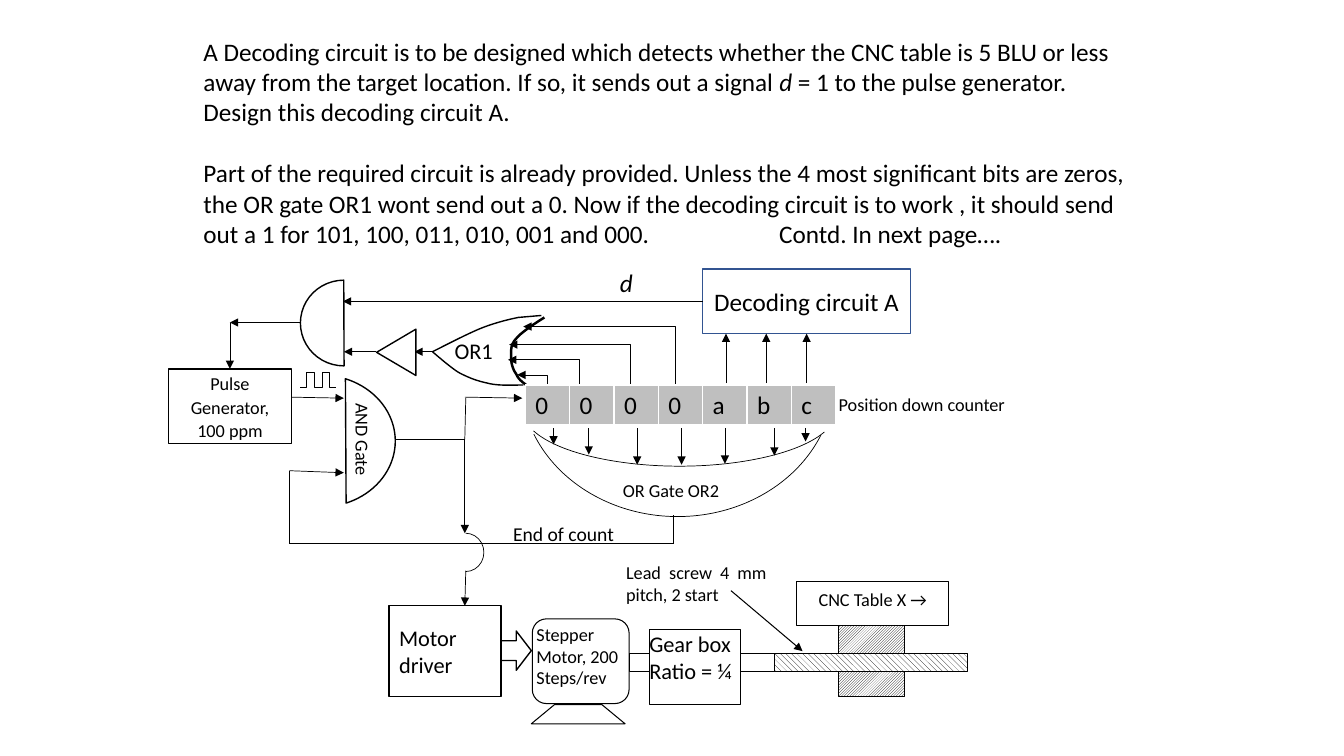
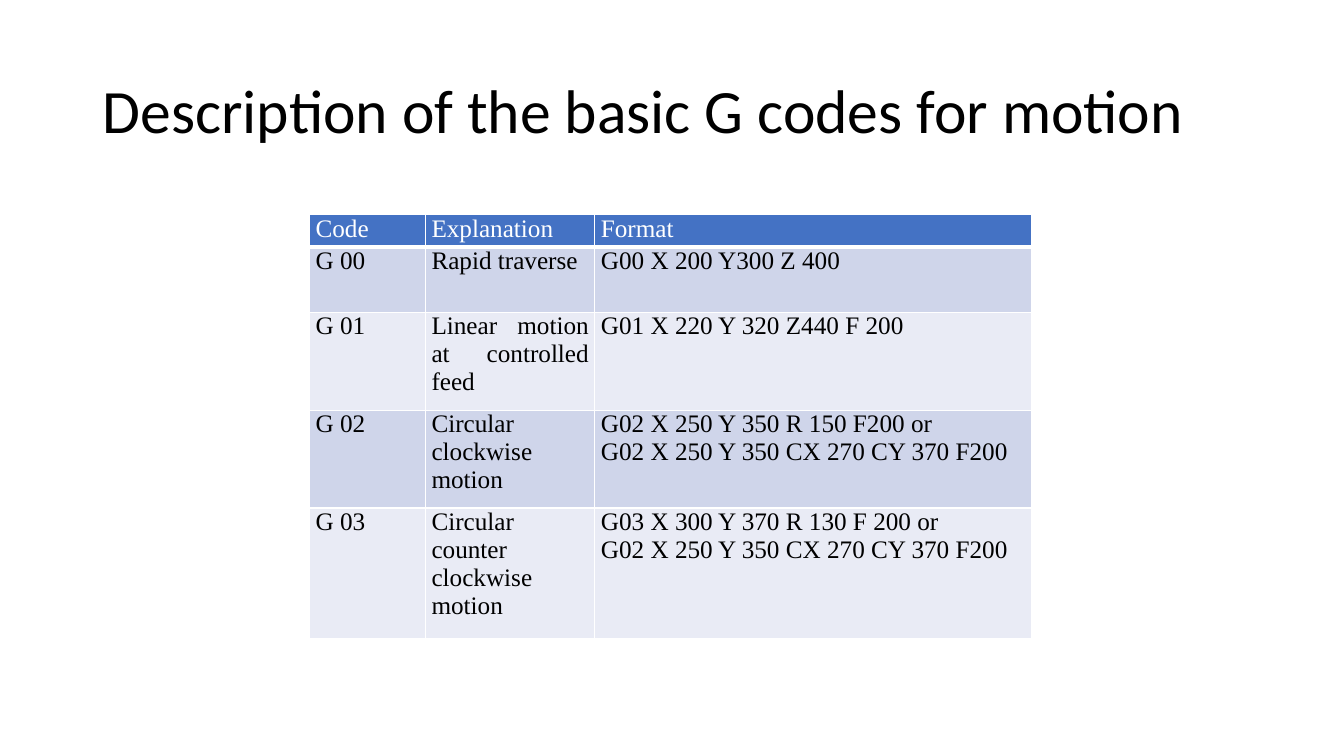
"""Build two slides: a pulse decoding circuit and a table of motion G codes."""
from dataclasses import dataclass

from lxml import etree
from pptx import Presentation
from pptx import util as u
from pptx.dml import color
from pptx.enum import dml, shapes, text
from pptx.oxml import ns

PX = 9144
KIND = shapes.MSO_SHAPE
ALIGN = text.PP_ALIGN
MIDDLE = text.MSO_ANCHOR.MIDDLE


@dataclass(frozen=True)
class Theme:
    """Hold the colours, fonts, type sizes and line widths of the deck."""
    ink: str = "000000"
    paper: str = "FFFFFF"
    frame: str = "325491"
    counter: str = "BFBFBF"
    header: str = "4472C4"
    bands: tuple = ("CFD5EA", "E9EBF5")
    sans: str = "Calibri"
    serif: str = "Times New Roman"
    title: int = 44
    body: int = 18
    block: int = 16
    note: int = 14
    label: int = 13
    wire: float = 0.5
    outline: float = 0.75
    gate: float = 1
    heavy: float = 1.75
    loose: float = 1.07


THEME = Theme()


def px(length):
    """Turn px into EMU."""
    return u.Emu(round(length * PX))


def rgb(value):
    """Turn a hex string into a colour."""
    return color.RGBColor.from_string(value)


def add_xml(parent, tag, **attributes):
    """Append a DrawingML element."""
    return etree.SubElement(parent, ns.qn(tag), attributes)


def write(frame, paras, size=THEME.label, align=ALIGN.LEFT, leading=1.0,
          font=THEME.sans, ink=THEME.ink, gap=0):
    """Fill a text frame with paragraphs of (text, italic) spans."""
    for index, spans in enumerate(paras):
        para = frame.add_paragraph() if index else frame.paragraphs[0]
        para.alignment = align
        para.line_spacing = leading
        para.space_before = u.Pt(0)
        para.space_after = u.Pt(gap if index < len(paras) - 1 else 0)
        for words, italic in spans:
            span = para.add_run()
            span.text = words
            span.font.name = font
            span.font.size = u.Pt(size)
            span.font.bold = False
            span.font.italic = italic
            span.font.color.rgb = rgb(ink)


def plain(*lines):
    """Make upright paragraphs from strings."""
    return [[(line, False)] for line in lines]


def set_frame(frame, anchor=text.MSO_ANCHOR.TOP, inset=None):
    """Set wrapping, anchor and margins of a text frame."""
    frame.word_wrap = True
    frame.auto_size = text.MSO_AUTO_SIZE.NONE
    frame.vertical_anchor = anchor
    if inset is not None:
        frame.margin_left = frame.margin_right = px(inset)
        frame.margin_top = frame.margin_bottom = px(inset)


def paint(shape, fill, line, width):
    """Set the fill and outline of a shape and drop its shadow."""
    shape.shadow.inherit = False
    if fill:
        shape.fill.solid()
        shape.fill.fore_color.rgb = rgb(fill)
    else:
        shape.fill.background()
    if line:
        shape.line.color.rgb = rgb(line)
        shape.line.width = u.Pt(width)
    else:
        shape.line.fill.background()


def add_box(page, kind, area, paras=(), fill=THEME.paper, line=THEME.ink,
            width=THEME.outline, anchor=text.MSO_ANCHOR.TOP, inset=None,
            turn=0, adjust=(), **style):
    """Add a preset shape, with text if any is given."""
    box = page.shapes.add_shape(kind, *map(px, area))
    paint(box, fill, line, width)
    box.rotation = turn
    for index, value in enumerate(adjust):
        box.adjustments[index] = value
    if paras:
        set_frame(box.text_frame, anchor, inset)
        write(box.text_frame, paras, **style)
    return box


def add_label(page, area, paras, anchor=text.MSO_ANCHOR.TOP, inset=None, **style):
    """Add a text box."""
    box = page.shapes.add_textbox(*map(px, area))
    set_frame(box.text_frame, anchor, inset)
    write(box.text_frame, paras, **style)
    return box


def add_hatched(page, area, pattern):
    """Add a rectangle with a hatch."""
    box = add_box(page, KIND.RECTANGLE, area)
    box.fill.patterned()
    box.fill.pattern = pattern
    box.fill.fore_color.rgb = rgb(THEME.ink)
    box.fill.back_color.rgb = rgb(THEME.paper)


def add_wire(page, start, end, arrow=True, bend=None, width=THEME.wire):
    """Add a straight wire, or an elbow whose upright part is at x = bend."""
    kind = shapes.MSO_CONNECTOR.STRAIGHT if bend is None else shapes.MSO_CONNECTOR.ELBOW
    wire = page.shapes.add_connector(kind, *map(px, (*start, *end)))
    wire.line.color.rgb = rgb(THEME.ink)
    wire.line.width = u.Pt(width)
    props = wire.element.spPr
    if arrow:
        add_xml(props.find(ns.qn("a:ln")), "a:tailEnd", type="triangle")
    add_xml(props, "a:effectLst")
    if bend is not None:
        share = round(100000 * (bend - start[0]) / (end[0] - start[0]))
        geometry = props.find(ns.qn("a:prstGeom"))
        for old in list(geometry):
            geometry.remove(old)
        add_xml(add_xml(geometry, "a:avLst"), "a:gd", name="adj1", fmla=f"val {share}")
    return wire


def bezier(points, steps=12):
    """Sample a chain of cubic curves given as start, control, control, end, ..."""
    sampled = [points[0]]
    for first in range(0, len(points) - 1, 3):
        a, b, c, d = points[first:first + 4]
        for step in range(1, steps + 1):
            t = step / steps
            weights = ((1 - t) ** 3, 3 * t * (1 - t) ** 2, 3 * t * t * (1 - t), t ** 3)
            sampled.append(tuple(sum(w * p[axis] for w, p in zip(weights, (a, b, c, d)))
                                 for axis in (0, 1)))
    return sampled


def add_outline(page, points, width, fill=None, close=False):
    """Add a freeform through the points."""
    corners = [(px(x), px(y)) for x, y in points]
    builder = page.shapes.build_freeform(*corners[0])
    builder.add_line_segments(corners[1:], close=close)
    paint(builder.convert_to_shape(), fill, THEME.ink, width)


def set_cell(cell, paras, fill, bottom=1, margins=None, **style):
    """Fill, border and write one table cell."""
    cell.fill.solid()
    cell.fill.fore_color.rgb = rgb(fill)
    if margins:
        cell.margin_left, cell.margin_top, cell.margin_right, cell.margin_bottom = map(px, margins)
    props = cell._tc.get_or_add_tcPr()
    for index, side in enumerate("LRTB"):
        border = add_xml(props, f"a:ln{side}", w=str(u.Pt(bottom if side == "B" else 1)))
        add_xml(add_xml(border, "a:solidFill"), "a:srgbClr", val=THEME.paper)
        props.insert(index, border)
    write(cell.text_frame, paras, size=THEME.body, **style)


def add_grid(page, corner, widths, heights):
    """Add an unbanded table with the given column widths and row heights."""
    area = (*corner, sum(widths), sum(heights))
    table = page.shapes.add_table(len(heights), len(widths), *map(px, area)).table
    table.first_row = table.horz_banding = False
    for column, width in zip(table.columns, widths):
        column.width = px(width)
    for row, height in zip(table.rows, heights):
        row.height = px(height)
    return table


def draw_task(page):
    """Write the task above the circuit."""
    task = [
        [("A Decoding circuit is to be designed which detects whether the CNC table is 5 BLU or "
          "less away from the target location. If so, it sends out a signal ", False),
         ("d", True),
         (" = 1 to the pulse generator. Design this decoding circuit A.", False)],
        [("Part of the required circuit is already provided. Unless the 4 most significant bits "
          "are zeros, the OR gate OR1 wont send out a 0. Now if the decoding circuit is to work "
          ", it should send out a 1 for 101, 100, 011, 010, 001 and 000.\tContd. In next page….",
          False)],
    ]
    box = add_label(page, (192, 31, 940, 222), task, size=THEME.body, gap=22)
    props = box.text_frame.paragraphs[1]._p.get_or_add_pPr()
    add_xml(add_xml(props, "a:tabLst"), "a:tab", pos=str(px(571)), algn="l")


def draw_drive(page):
    """Draw the motor, gear box, lead screw and table."""
    add_box(page, KIND.RIGHT_ARROW, (497, 626, 30, 39), width=THEME.gate)
    add_box(page, KIND.FLOWCHART_ALTERNATE_PROCESS, (528, 614, 96, 84),
            plain("Stepper Motor, 200 Steps/rev"), inset=0)
    add_outline(page, [(527, 718), (550, 699), (597, 699), (620, 718)],
                THEME.outline, THEME.paper, close=True)
    add_box(page, KIND.RECTANGLE, (624, 648, 309, 18))
    add_box(page, KIND.FLOWCHART_PROCESS, (644, 625, 90, 74),
            plain("Gear box Ratio = ¼"), inset=0, size=THEME.block)
    add_hatched(page, (832, 620, 65, 71), dml.MSO_PATTERN.LIGHT_UPWARD_DIAGONAL)
    add_hatched(page, (768, 648, 192, 18), dml.MSO_PATTERN.WIDE_DOWNWARD_DIAGONAL)
    add_box(page, KIND.FLOWCHART_PROCESS, (790, 577, 151, 44), plain("CNC Table X →"),
            align=ALIGN.CENTER, leading=THEME.loose)
    add_box(page, KIND.RECTANGLE, (621, 557, 139, 51), plain("Lead screw 4 mm pitch, 2 start"),
            line=None, inset=0, align=ALIGN.JUSTIFY)
    add_wire(page, (725, 586), (796, 646), width=THEME.outline)
    add_box(page, KIND.RECTANGLE, (386, 601, 111, 90), plain("Motor driver"), fill=None,
            width=THEME.gate, anchor=MIDDLE, size=THEME.block)


def draw_counting(page):
    """Draw the pulse generator, AND gate, OR2 gate and their wires."""
    add_box(page, KIND.CHORD, (244, 372, 148, 131), width=THEME.gate, turn=180,
            adjust=(67.01, 148.62))
    name = add_label(page, (310, 421, 100, 30), plain("AND Gate"), MIDDLE, 0, align=ALIGN.CENTER)
    name.rotation = 90
    for start, end in (((461, 394), (518, 395)), ((287, 394), (341, 395)),
                       ((287, 467), (341, 469)), ((461, 436), (461, 529)),
                       ((462, 566), (461, 601))):
        add_wire(page, start, end)
    for start, end in (((287, 467), (287, 539)), ((287, 539), (668, 539)),
                       ((668, 539), (668, 511)), ((393, 436), (461, 436)),
                       ((461, 436), (462, 395))):
        add_wire(page, start, end, arrow=False)
    for area, turn, adjust in (((536, 221, 272, 311), 90, (174.64, 41.52)),
                               ((619, 252, 110, 311), 90, (167.02, 49.28)),
                               ((444, 529, 36, 38), 0, (162, 54))):
        add_box(page, KIND.ARC, area, fill=None, width=THEME.wire, turn=turn, adjust=adjust)
    for x, y in ((549, 441), (584, 451), (632, 461), (676, 461), (719, 460), (768, 452), (799, 438)):
        add_wire(page, (x, 408), (x, y))
    generator = add_box(page, KIND.RECTANGLE, (167, 366, 122, 74),
                        plain("Pulse Generator, 100 ppm"), width=THEME.gate, anchor=MIDDLE,
                        align=ALIGN.CENTER, leading=THEME.loose)
    add_wire(page, (228, 320), (228, 366)).end_connect(generator, 0)
    add_box(page, KIND.RECTANGLE, (608, 469, 131, 30), plain("OR Gate OR2"), line=None,
            leading=THEME.loose)
    for start, end in ((306, 318), (310, 298), (321, 333), (326, 314)):
        add_wire(page, (start, 369), (end, 384), arrow=False, bend=(start + end) / 2)


def draw_decoding(page):
    """Draw the decoding circuit, OR1 gate, inverter and upper gate."""
    circuit = add_box(page, KIND.RECTANGLE, (697, 267, 206, 64), plain("Decoding circuit A"),
                      line=THEME.frame, width=THEME.gate, anchor=MIDDLE, size=THEME.body,
                      align=ALIGN.CENTER)
    inputs = [add_wire(page, (x, 380), (x, 331)) for x in (720, 760, 800)]
    inputs[-1].end_connect(circuit, 2)
    add_wire(page, (697, 299), (340, 299)).begin_connect(circuit, 1)
    for start, end, bend in (((672, 383), (519, 324), 670), ((625, 382), (505, 342), 625),
                             ((647, 382), (504, 357), 575), ((528, 382), (513, 372), 543)):
        add_wire(page, start, end, bend=bend)
    add_outline(page, bezier([(522, 382), (518, 379), (514, 376), (512, 371), (509, 367),
                              (507, 361), (507, 355), (507, 349), (506, 342), (512, 336),
                              (517, 329), (540, 315), (540, 315)]), THEME.heavy)
    add_outline(page, bezier([(519, 382), (507, 382), (494, 383), (483, 380), (473, 378),
                              (463, 374), (454, 369), (445, 363), (429, 349), (429, 349)]),
                THEME.gate)
    add_outline(page, [(537, 313)] + bezier([(514, 315), (504, 317), (488, 321), (474, 327),
                                             (460, 333), (429, 349), (429, 349)]), THEME.gate)
    add_label(page, (441, 330, 65, 37), plain("OR1"), size=THEME.block)
    add_wire(page, (429, 349), (411, 349))
    add_box(page, KIND.ISOSCELES_TRIANGLE, (370, 330, 46, 39), width=THEME.gate, turn=270)
    add_wire(page, (373, 349), (341, 349))
    add_box(page, KIND.CHORD, (298, 278, 86, 85), width=THEME.gate, adjust=(53.74, 162))
    add_wire(page, (298, 320), (228, 320))
    add_label(page, (605, 260, 48, 41), [[("d", True)]], size=THEME.body)


def draw_counter(page):
    """Draw the row of counter bits."""
    bits = "0000abc"
    table = add_grid(page, (521, 382), [44] * len(bits), [37])
    for cell, bit in zip(table.rows[0].cells, bits):
        set_cell(cell, plain(bit), THEME.counter, bottom=3)


def draw_codes(page):
    """Title the page and tabulate the G codes."""
    title = page.shapes.title
    title.left, title.top, title.width, title.height = map(px, (92, 40, 1150, 145))
    set_frame(title.text_frame, MIDDLE)
    write(title.text_frame, plain("Description of the basic G codes for motion"),
          size=THEME.title, leading=0.9)
    arc_by_centre = "G02 X 250 Y 350 CX 270 CY 370 F200"
    rows = (
        (["Code"], ["Explanation"], ["Format"]),
        (["G 00"], ["Rapid traverse"], ["G00 X 200 Y300 Z 400"]),
        (["G 01"], ["Linear motion at controlled feed"], ["G01 X 220 Y 320 Z440 F 200"]),
        (["G 02"], ["Circular clockwise motion"], ["G02 X 250 Y 350 R 150 F200 or", arc_by_centre]),
        (["G 03"], ["Circular counter clockwise motion"],
         ["G03 X 300 Y 370 R 130 F 200 or", arc_by_centre]),
    )
    table = add_grid(page, (307, 213), (115, 168, 433), (32, 65, 97, 97, 130))
    for index, row in enumerate(rows):
        fill = THEME.bands[(index - 1) % 2] if index else THEME.header
        for cell, lines in zip(table.rows[index].cells, row):
            set_cell(cell, plain(*lines), fill, bottom=1 if index else 3, margins=(6, 0, 6, 0),
                     align=ALIGN.JUSTIFY, font=THEME.serif,
                     ink=THEME.ink if index else THEME.paper)


def main():
    """Build and save the deck."""
    deck = Presentation()
    deck.slide_width, deck.slide_height = px(1333), px(750)
    circuit = deck.slides.add_slide(deck.slide_layouts[6])
    add_box(circuit, KIND.RECTANGLE, (499, 511, 133, 41), plain("End of count"), line=None,
            size=THEME.note, leading=THEME.loose)
    add_label(circuit, (822, 384, 210, 42), plain("Position down counter"), leading=THEME.loose)
    for draw in (draw_drive, draw_counting, draw_task, draw_decoding, draw_counter):
        draw(circuit)
    draw_codes(deck.slides.add_slide(deck.slide_layouts[5]))
    deck.save("out.pptx")


if __name__ == "__main__":
    main()
